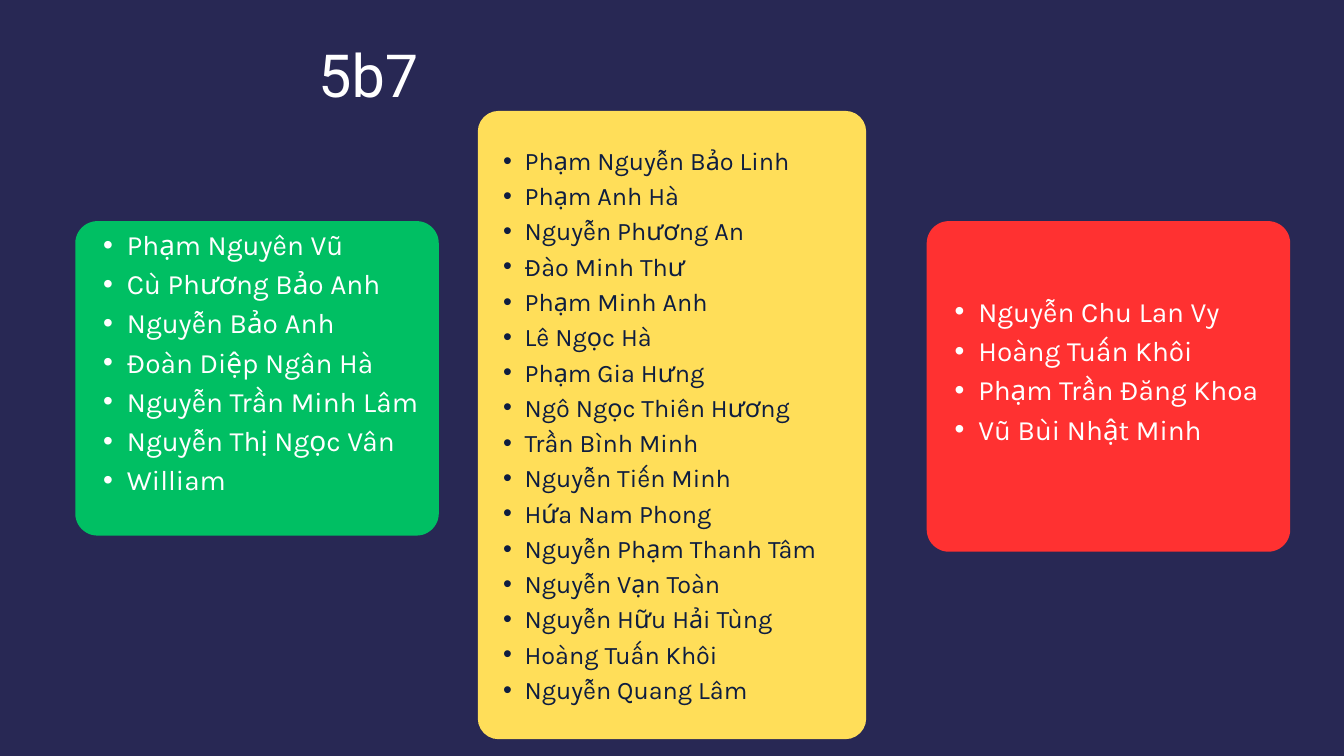
"""Build the class 5b7 slide with three cards of pupil names."""
from collections import namedtuple
from lxml.etree import SubElement
from pptx import Presentation
from pptx.dml.color import RGBColor
from pptx.enum.shapes import MSO_SHAPE
from pptx.enum.text import MSO_ANCHOR, PP_ALIGN
from pptx.oxml.ns import qn
from pptx.util import Inches, Pt

WIDTH, HEIGHT = 20, 11.25
THEME = {
    "background": "282854", "green": "00BF63", "yellow": "FFDE59", "red": "FF3131",
    "light": "FFFFFF", "dark": "0E1D40",
    "title_font": "Roboto", "title_size": 63.6,
    "list_font": "Karla", "side_size": 30, "middle_size": 27,
}
TITLE = "5b7"
GREEN_NAMES = [
    "Phạm Nguyên Vũ", "Cù Phương Bảo Anh", "Nguyễn Bảo Anh", "Đoàn Diệp Ngân Hà",
    "Nguyễn Trần Minh Lâm", "Nguyễn Thị Ngọc Vân", "William",
]
YELLOW_NAMES = [
    "Phạm Nguyễn Bảo Linh", "Phạm Anh Hà", "Nguyễn Phương An", "Đào Minh Thư",
    "Phạm Minh Anh", "Lê Ngọc Hà", "Phạm Gia Hưng", "Ngô Ngọc Thiên Hương",
    "Trần Bình Minh", "Nguyễn Tiến Minh", "Hứa Nam Phong", "Nguyễn Phạm Thanh Tâm",
    "Nguyễn Vạn Toàn", "Nguyễn Hữu Hải Tùng", "Hoàng Tuấn Khôi", "Nguyễn Quang Lâm",
]
RED_NAMES = ["Nguyễn Chu Lan Vy", "Hoàng Tuấn Khôi", "Phạm Trần Đăng Khoa", "Vũ Bùi Nhật Minh"]

SIDE_TOP, SIDE_WIDTH = 3.29, 5.41
Card = namedtuple("Card", "names fill ink size left top width height radius lift top_inset")
CARDS = [
    Card(RED_NAMES, "red", "light", "side_size", 13.79, SIDE_TOP, SIDE_WIDTH, 4.92, 0.33, 0.2, 0.06),
    Card(YELLOW_NAMES, "yellow", "dark", "middle_size", 7.11, 1.65, 5.78, 9.35, 0.31, 0.24, 0.59),
    Card(GREEN_NAMES, "green", "light", "side_size", 1.12, SIDE_TOP, SIDE_WIDTH, 4.68, 0.33, 0.2, 0.06),
]
SIDE_INSET, BOTTOM_INSET = 0.06, 0.43
LINE_RATIO, INDENT_RATIO = 1.4, 1.7


def color(name):
    return RGBColor.from_string(THEME[name])


def add_text_box(page, left, top, width, height, insets):
    box = page.shapes.add_textbox(Inches(left), Inches(top), Inches(width), Inches(height))
    frame = box.text_frame
    frame.word_wrap = True
    (frame.margin_left, frame.margin_top,
     frame.margin_right, frame.margin_bottom) = map(Inches, insets)
    return frame


def style(para, font_name, size, ink):
    for span in para.runs:
        span.font.name = font_name
        span.font.size = Pt(size)
        span.font.color.rgb = color(ink)


def add_bullet(para, size):
    properties = para._p.get_or_add_pPr()
    properties.set("marL", str(Pt(size * INDENT_RATIO)))
    properties.set("indent", str(-Pt(size * INDENT_RATIO / 2)))
    SubElement(properties, qn("a:buFont")).set("typeface", "Arial")
    SubElement(properties, qn("a:buChar")).set("char", "•")


def add_card(page, card):
    panel = page.shapes.add_shape(
        MSO_SHAPE.ROUNDED_RECTANGLE, Inches(card.left), Inches(card.top),
        Inches(card.width), Inches(card.height))
    panel.adjustments[0] = card.radius / min(card.width, card.height)
    panel.shadow.inherit = False
    panel.fill.solid()
    panel.fill.fore_color.rgb = color(card.fill)
    panel.line.fill.background()

    frame = add_text_box(
        page, card.left, card.top - card.lift, card.width, card.height + card.lift,
        (SIDE_INSET, card.top_inset, SIDE_INSET, BOTTOM_INSET))
    frame.vertical_anchor = MSO_ANCHOR.MIDDLE
    frame.text = "\n".join(card.names)
    size = THEME[card.size]
    for para in frame.paragraphs:
        add_bullet(para, size)
        para.level = 1
        para.line_spacing = Pt(size * LINE_RATIO)
        style(para, THEME["list_font"], size, card.ink)


def add_title(page):
    frame = add_text_box(page, 0.69, 0.65, 9.58, 1, (0, 0, 0, 0))
    frame.text = TITLE
    para = frame.paragraphs[0]
    para.alignment = PP_ALIGN.CENTER
    para.line_spacing = Pt(70.6)
    style(para, THEME["title_font"], THEME["title_size"], "light")


def main():
    deck = Presentation()
    deck.slide_width, deck.slide_height = Inches(WIDTH), Inches(HEIGHT)
    page = deck.slides.add_slide(deck.slide_layouts[6])
    page.background.fill.solid()
    page.background.fill.fore_color.rgb = color("background")
    add_title(page)
    for card in CARDS:
        add_card(page, card)
    deck.save("out.pptx")


if __name__ == "__main__":
    main()
